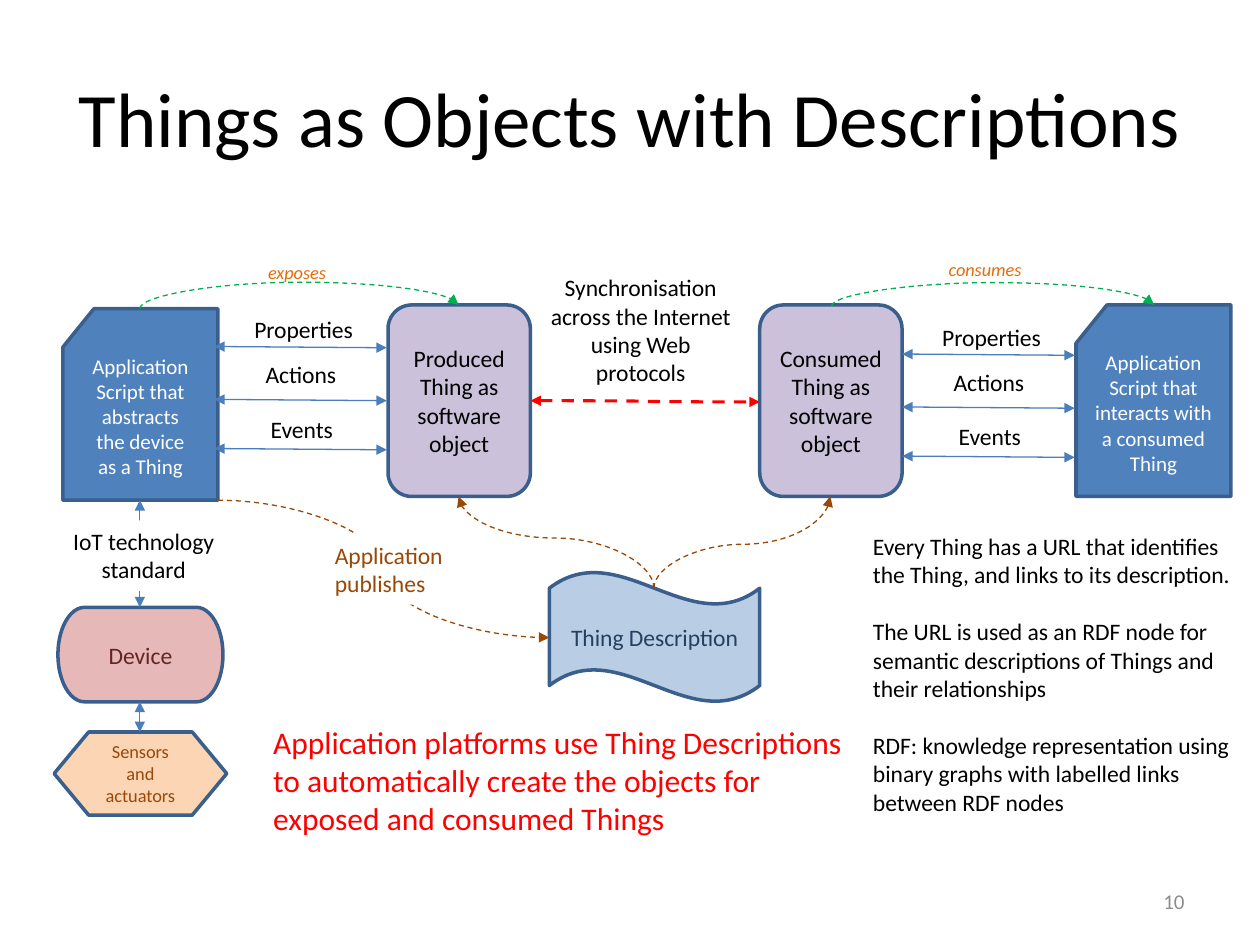
from dataclasses import dataclass

import pptx
import pptx.dml.color
import pptx.enum.dml
import pptx.enum.shapes
import pptx.enum.text
import pptx.oxml.ns
import pptx.oxml.xmlchemy
import pptx.util
from lxml import etree

Inches = pptx.util.Inches
Pt = pptx.util.Pt
qn = pptx.oxml.ns.qn
Kind = pptx.enum.shapes.MSO_SHAPE
Join = pptx.enum.shapes.MSO_CONNECTOR
Align = pptx.enum.text.PP_ALIGN
Anchor = pptx.enum.text.MSO_ANCHOR
Fit = pptx.enum.text.MSO_AUTO_SIZE
Dash = pptx.enum.dml.MSO_LINE


@dataclass
class Theme:
    face: str = "Calibri"
    black: str = "000000"
    white: str = "FFFFFF"
    blue: str = "4F81BD"
    edge: str = "3A5F8C"
    link: str = "4B7EBC"
    lilac: str = "CCC1DA"
    pink: str = "E6B9B8"
    wine: str = "632523"
    peach: str = "FCD5B5"
    brown: str = "984807"
    sky: str = "B9CDE5"
    navy: str = "254061"
    red: str = "FF0000"
    green: str = "00B050"
    orange: str = "E46C0A"
    gray: str = "8C8C8C"
    head: float = 44
    lead: float = 18
    body: float = 13.5
    small: float = 12
    note: float = 10.5


def tint(color):
    return pptx.dml.color.RGBColor.from_string(color)


def write(frame, text, face, size, color, align=Align.LEFT,
          anchor=Anchor.TOP, italic=None, wrap=True, gap=0):
    frame.word_wrap = wrap
    frame.vertical_anchor = anchor
    for i, part in enumerate(text.split("\n\n")):
        para = frame.add_paragraph() if i else frame.paragraphs[0]
        para.text = part.replace("\n", "\v")
        para.alignment = align
        if i:
            para.space_before = Pt(gap)
        for run in para.runs:
            run.font.name = face
            run.font.size = Pt(size)
            run.font.italic = italic
            run.font.color.rgb = tint(color)


class Board:
    def __init__(self, slide, theme):
        self.slide = slide
        self.theme = theme

    def title(self, text):
        shape = self.slide.shapes.title
        shape.left, shape.top = Inches(0.5), Inches(0.3)
        shape.width, shape.height = Inches(9), Inches(1.25)
        write(shape.text_frame, text, self.theme.face, self.theme.head,
              self.theme.black, align=Align.CENTER, anchor=Anchor.MIDDLE)

    def label(self, text, box, size=None, color=None, fill=None, grow=True, **form):
        shape = self.slide.shapes.add_textbox(*map(Inches, box))
        if fill:
            shape.fill.solid()
            shape.fill.fore_color.rgb = tint(fill)
        write(shape.text_frame, text, self.theme.face, size or self.theme.body,
              color or self.theme.black, **form)
        if grow:
            shape.text_frame.auto_size = Fit.SHAPE_TO_FIT_TEXT

    def node(self, kind, text, box, fill, color, size=None, anchor=Anchor.MIDDLE):
        shape = self.slide.shapes.add_shape(kind, *map(Inches, box))
        shape.shadow.inherit = False
        shape.fill.solid()
        shape.fill.fore_color.rgb = tint(fill)
        shape.line.color.rgb = tint(self.theme.edge)
        shape.line.width = Pt(2)
        write(shape.text_frame, text, self.theme.face, size or self.theme.body,
              color, align=Align.CENTER, anchor=anchor)

    def link(self, start, end, kind=Join.STRAIGHT, color=None, width=0.75,
             dash=None, both=True):
        line = self.slide.shapes.add_connector(kind, *map(Inches, start + end))
        line.line.color.rgb = tint(color or self.theme.link)
        line.line.width = Pt(width)
        if dash:
            line.line.dash_style = dash
        props = line.element.spPr
        etree.SubElement(props, qn("a:effectLst"))
        for tip in ("a:headEnd", "a:tailEnd") if both else ("a:tailEnd",):
            etree.SubElement(props.find(qn("a:ln")), qn(tip), type="triangle")
        return line

    def curve(self, start, end, color, bend=None):
        line = self.link(start, end, Join.CURVE, color, dash=Dash.DASH, both=False)
        if bend is None:
            return
        (x1, y1), (x2, y2) = start, end
        wide, high = abs(x2 - x1), abs(y2 - y1)
        line.left = Inches((x1 + x2 - high) / 2)
        line.top = Inches((y1 + y2 - wide) / 2)
        line.width, line.height = Inches(high), Inches(wide)
        props = line.element.spPr
        frame = props.find(qn("a:xfrm"))
        frame.set("rot", "5400000")
        frame.set("flipH", str(int(y2 < y1)))
        frame.set("flipV", str(int(x2 > x1)))
        ratio = round((bend - y1) / (y2 - y1) * 100000)
        guides = props.find(qn("a:prstGeom")).get_or_add_avLst()
        etree.SubElement(guides, qn("a:gd"), name="adj1", fmla=f"val {ratio}")


def main():
    deck = pptx.Presentation()
    deck.slide_width, deck.slide_height = Inches(10), Inches(7.5)
    look = Theme()
    board = Board(deck.slides.add_slide(deck.slide_layouts[5]), look)
    board.title("Things as Objects with Descriptions")

    for text, x, y in (
        ("Application Script that abstracts\nthe device\nas a Thing", 0.5, 2.45),
        ("Application Script that interacts with\na consumed Thing", 8.54, 2.42),
    ):
        board.node(Kind.FLOWCHART_CARD, text, (x, y, 1.23, 1.52),
                   look.blue, look.white, look.small, Anchor.TOP)
    for word, x in (("Produced", 3.08), ("Consumed", 6.03)):
        board.node(Kind.FLOWCHART_ALTERNATE_PROCESS,
                   f"{word}\nThing as software object",
                   (x, 2.42, 1.13, 1.52), look.lilac, look.black)

    for dx, dy in ((0, 0), (5.46, 0.06)):
        for text, x, y, wide, row in (
            ("Properties", 1.92, 2.45, 1, 2.75),
            ("Actions", 2.01, 2.81, 0.77, 3.17),
            ("Events", 2.05, 3.24, 0.71, 3.56),
        ):
            board.link((1.7 + dx, row + dy), (3.07 + dx, row + dy + 0.01))
            board.label(text, (x + dx, y + dy, wide, 0.33), wrap=False)

    board.link((4.21, 3.18), (6.03, 3.19), Join.CURVE, look.red, 1.75, Dash.DASH)
    board.label("Synchronisation across the Internet using Web protocols",
                (4.22, 2.12, 1.73, 1.01), align=Align.CENTER)

    board.node(Kind.FLOWCHART_TERMINATOR, "Device", (0.46, 4.82, 1.31, 0.75),
               look.pink, look.wine)
    board.node(Kind.FLOWCHART_PREPARATION, "Sensors and actuators",
               (0.43, 5.81, 1.37, 0.66), look.peach, look.brown, look.note)
    for top, base in ((3.97, 4.82), (5.57, 5.81)):
        board.link((1.11, top), (1.11, base))
    board.label("IoT technology standard", (0.43, 4.13, 1.42, 0.56),
                fill=look.white, align=Align.CENTER)

    board.node(Kind.WAVE, "Thing Description", (4.36, 4.54, 1.67, 1.03),
               look.sky, look.navy)
    for start, end, color, bend in (
        ((1.73, 3.97), (4.36, 5.06), look.brown, None),
        ((5.19, 4.67), (6.59, 3.94), look.brown, 4.32),
        ((5.19, 4.67), (3.64, 3.94), look.brown, 4.27),
        ((1.11, 2.45), (3.64, 2.42), look.green, 2.24),
        ((6.6, 2.43), (9.16, 2.42), look.green, 2.24),
    ):
        board.curve(start, end, color, bend)
    board.label("Application\npublishes", (2.56, 4.24, 1.07, 0.56),
                color=look.brown, fill=look.white, wrap=False)

    board.label(
        "Every Thing has a URL that identifies the Thing, and links to its description.\n\n"
        "The URL is used as an RDF node for semantic descriptions of Things and their relationships\n\n"
        "RDF: knowledge representation using binary graphs with labelled links between RDF nodes",
        (6.83, 4.17, 3.07, 2.37), gap=16.5)
    board.label("Application platforms use Thing Descriptions to automatically "
                "create the objects for exposed and consumed Things",
                (2.07, 5.69, 4.75, 1.01), look.lead, look.red)
    for text, box in (("exposes", (2.03, 2.02, 0.67, 0.28)),
                      ("consumes", (7.43, 2, 0.79, 0.28))):
        board.label(text, box, look.note, look.orange, italic=True, wrap=False)
    board.label("10", (7.17, 6.95, 2.33, 0.4), look.small, look.gray,
                grow=False, align=Align.RIGHT, anchor=Anchor.MIDDLE)
    deck.save("out.pptx")


if __name__ == "__main__":
    main()
